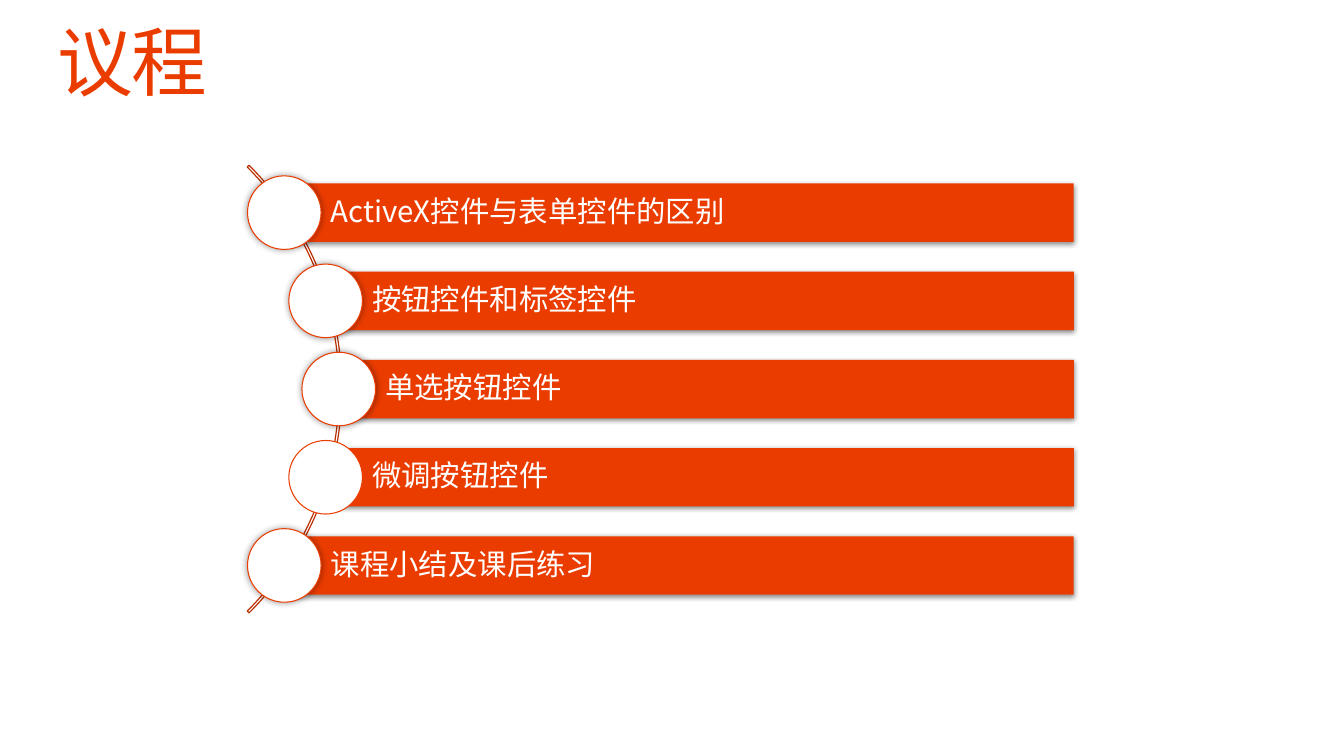
from dataclasses import dataclass

from lxml import etree
from pptx import Presentation
from pptx.dml.color import RGBColor
from pptx.enum.shapes import MSO_SHAPE
from pptx.enum.text import MSO_ANCHOR, MSO_AUTO_SIZE, PP_ALIGN
from pptx.oxml.ns import qn
from pptx.util import Pt

RECTANGLE = MSO_SHAPE.RECTANGLE
OVAL = MSO_SHAPE.OVAL
BLOCK_ARC = MSO_SHAPE.BLOCK_ARC
TOP = MSO_ANCHOR.TOP
MIDDLE = MSO_ANCHOR.MIDDLE
LEFT = PP_ALIGN.LEFT
NO_AUTOFIT = MSO_AUTO_SIZE.NONE

EMU_PER_PX = 9144
TITLE_ONLY_LAYOUT = 5


@dataclass(frozen=True)
class Theme:
    accent: str = "EB3C00"
    arc_line: str = "BC3000"
    light: str = "FFFFFF"
    shadow: str = "000000"
    title_font: str = "Cabin"
    body_font: str = "Noto Sans CJK SC"
    title_size: int = 54
    body_size: int = 21


THEME = Theme()
BAR_SHADOW = {"alpha": 45, "blur": 3.5, "distance": 1.1, "angle": 90}
DOT_SHADOW = {"alpha": 40, "blur": 5, "distance": 0, "angle": 0}

AGENDA = [
    ("ActiveX控件与表单控件的区别", 282, DOT_SHADOW),
    ("按钮控件和标签控件", 323, DOT_SHADOW),
    ("单选按钮控件", 336, DOT_SHADOW),
    ("微调按钮控件", 323, None),
    ("课程小结及课后练习", 282, DOT_SHADOW),
]
FIRST_ROW_MIDDLE = 211
LAST_ROW_MIDDLE = 561
BAR_RIGHT = 1065
BAR_HEIGHT = 58
DOT_SIZE = 73
ARC_BOX = (-289, 72, 628, 628)
ARC_ADJUSTMENTS = (189, 27, 0.004)


def px(length):
    return round(length * EMU_PER_PX)


def apply_format(target, values):
    for name, value in values.items():
        setattr(target, name, value)


def add_shadow(shape, alpha, blur, distance, angle):
    effects = shape._element.spPr.find(qn("a:effectLst"))
    shadow = etree.SubElement(
        effects,
        qn("a:outerShdw"),
        blurRad=str(Pt(blur)),
        dist=str(Pt(distance)),
        dir=str(angle * 60000),
        algn="ctr",
        rotWithShape="0",
    )
    color = etree.SubElement(shadow, qn("a:srgbClr"), val=THEME.shadow)
    etree.SubElement(color, qn("a:alpha"), val=str(alpha * 1000))


def add_box(group, kind, bounds, fill=None, line=None, line_width=0.75, shadow=None):
    shape = group.shapes.add_shape(kind, *map(px, bounds))
    shape.shadow.inherit = False
    if fill:
        shape.fill.solid()
        shape.fill.fore_color.rgb = RGBColor.from_string(fill)
    else:
        shape.fill.background()
    if line:
        shape.line.color.rgb = RGBColor.from_string(line)
        shape.line.width = Pt(line_width)
    else:
        shape.line.fill.background()
    if shadow:
        add_shadow(shape, **shadow)
    return shape


def write_text(shape, text, font, size, color, anchor, margins):
    frame = shape.text_frame
    left, top, right, bottom = map(px, margins)
    apply_format(frame, {
        "word_wrap": True,
        "auto_size": NO_AUTOFIT,
        "vertical_anchor": anchor,
        "margin_left": left,
        "margin_top": top,
        "margin_right": right,
        "margin_bottom": bottom,
    })
    para = frame.paragraphs[0]
    apply_format(para, {"alignment": LEFT, "line_spacing": 0.9})
    span = para.add_run()
    span.text = text
    apply_format(span.font, {"name": font, "size": Pt(size)})
    span.font.color.rgb = RGBColor.from_string(color)
    properties = span.font._element
    etree.SubElement(properties, qn("a:ea"), typeface=font)
    return properties


def add_title(page, text):
    title = page.shapes.title
    apply_format(title, {
        "left": px(57), "top": px(25), "width": px(1219), "height": px(82),
    })
    properties = write_text(title, text, THEME.title_font, THEME.title_size,
                            THEME.accent, TOP, (0, 0, 0, 0))
    properties.set("spc", "-100")


def add_arc(group):
    arc = add_box(group, BLOCK_ARC, ARC_BOX, line=THEME.arc_line, line_width=0.85)
    for index, value in enumerate(ARC_ADJUSTMENTS):
        arc.adjustments[index] = value


def add_agenda_row(group, text, center, middle, dot_shadow):
    bar_bounds = (center, middle - BAR_HEIGHT / 2, BAR_RIGHT - center, BAR_HEIGHT)
    bar = add_box(group, RECTANGLE, bar_bounds, fill=THEME.accent, shadow=BAR_SHADOW)
    write_text(bar, text, THEME.body_font, THEME.body_size, THEME.light,
               MIDDLE, (46, 6, 6, 6))
    radius = DOT_SIZE / 2
    dot_bounds = (center - radius, middle - radius, DOT_SIZE, DOT_SIZE)
    add_box(group, OVAL, dot_bounds, fill=THEME.light, line=THEME.accent,
            shadow=dot_shadow)


def main():
    deck = Presentation()
    apply_format(deck, {"slide_width": px(1333), "slide_height": px(750)})
    page = deck.slides.add_slide(deck.slide_layouts[TITLE_ONLY_LAYOUT])
    add_title(page, "议程")
    group = page.shapes.add_group_shape()
    add_arc(group)
    pitch = (LAST_ROW_MIDDLE - FIRST_ROW_MIDDLE) / (len(AGENDA) - 1)
    for row, (text, center, dot_shadow) in enumerate(AGENDA):
        add_agenda_row(group, text, center, FIRST_ROW_MIDDLE + row * pitch, dot_shadow)
    deck.save("out.pptx")


if __name__ == "__main__":
    main()
